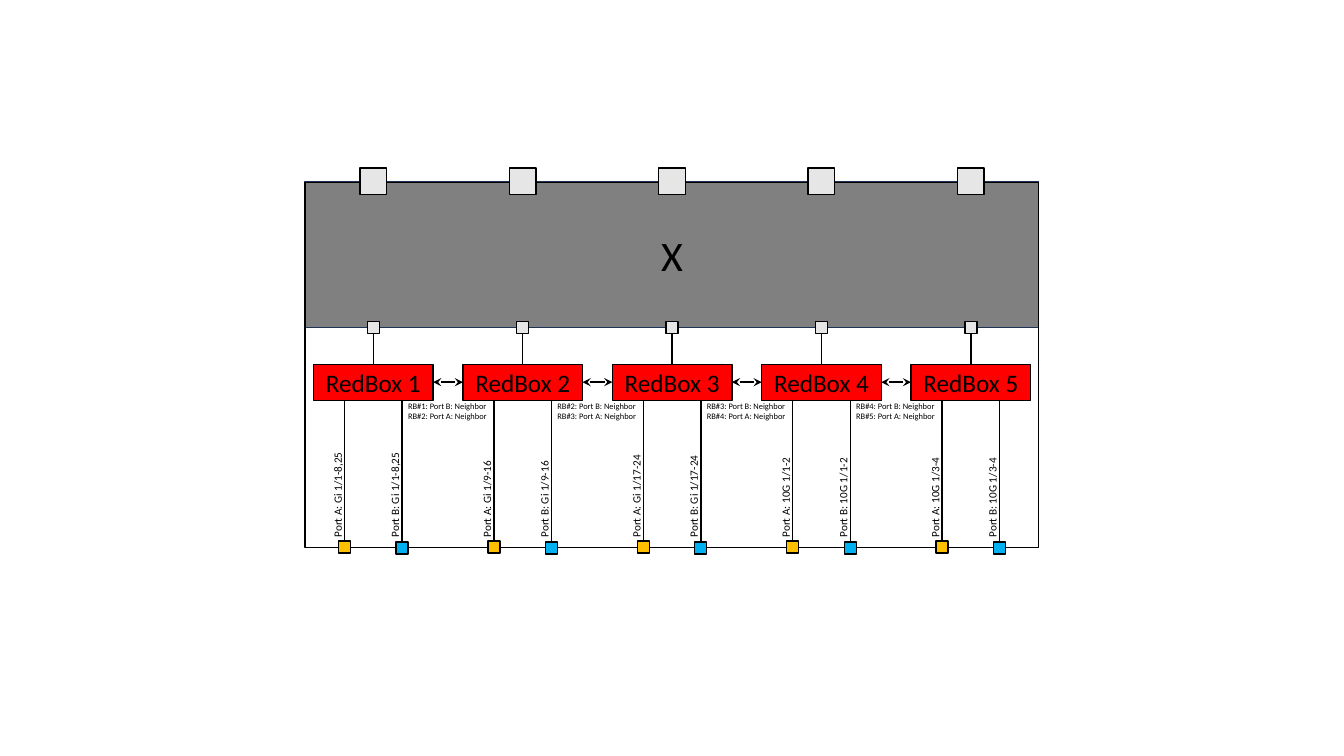
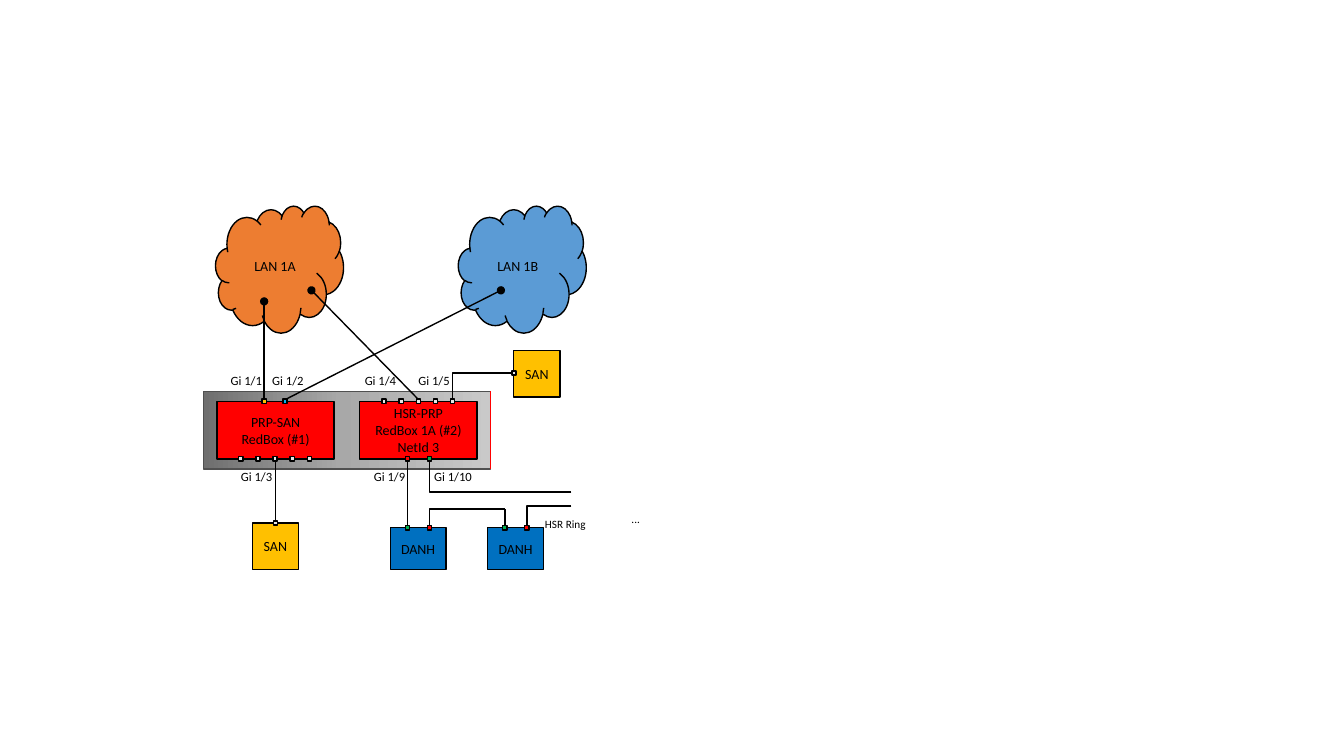
from copy import deepcopy

from lxml.etree import SubElement
from pptx import Presentation
from pptx.dml.color import RGBColor
from pptx.enum.shapes import MSO_CONNECTOR as Conn, MSO_SHAPE as Kind
from pptx.enum.text import MSO_ANCHOR as Anchor, PP_ALIGN as Align
from pptx.oxml.ns import qn
from pptx.util import Pt

BLACK = RGBColor(0x00, 0x00, 0x00)
GRAY = RGBColor(0x80, 0x80, 0x80)
PALE = RGBColor(0xE7, 0xE6, 0xE6)
NAVY = RGBColor(0x1E, 0x32, 0x56)
EDGE = RGBColor(0x50, 0x50, 0x50)
RED = RGBColor(0xFF, 0x00, 0x00)
GOLD = RGBColor(0xFF, 0xC0, 0x00)
SKY = RGBColor(0x00, 0xB0, 0xF0)
GREEN = RGBColor(0x00, 0xB0, 0x50)
BLUE = RGBColor(0x00, 0x70, 0xC0)
RUST = RGBColor(0xED, 0x7D, 0x31)
AZURE = RGBColor(0x5B, 0x9B, 0xD5)
SHADES = [(0, RGBColor(0x6F, 0x6F, 0x6F)), (0.48, RGBColor(0xA8, 0xA8, 0xA8)),
          (1, RGBColor(0xC9, 0xC9, 0xC9))]

FONT = {"name": "Calibri"}
INNER = {"margin_left": 0, "margin_right": 0, "margin_top": 0,
         "margin_bottom": 0, "vertical_anchor": Anchor.MIDDLE, "word_wrap": True}
LABEL = {"vertical_anchor": Anchor.TOP, "word_wrap": True}


def box(page, kind, x, y, w, h, fill=None, text="", size=10, edge=BLACK, wrap=True):
    """Add a shape with centred text, or a plain text box if kind is None."""
    area = [Pt(v) for v in (x, y, w, h)]
    if kind is None:
        item, form = page.shapes.add_textbox(*area), LABEL | {"word_wrap": wrap}
    else:
        item, form = page.shapes.add_shape(kind, *area), INNER
        item.shadow.inherit = False
        item.line.color.rgb = edge
        item.line.width = Pt(1)
        if fill is None:
            item.fill.background()
        else:
            item.fill.solid()
            item.fill.fore_color.rgb = fill
    frame = item.text_frame
    for key, val in form.items():
        setattr(frame, key, val)
    if text:
        frame.text = text
        for para in frame.paragraphs:
            para.alignment = Align.LEFT if kind is None else Align.CENTER
            for key, val in (FONT | {"size": Pt(size)}).items():
                setattr(para.font, key, val)
            para.font.color.rgb = BLACK
    return item


def wire(page, x1, y1, x2, y2, head=None, tail=None, bent=False, color=BLACK):
    """Add a line; a bent one runs level first, then upright."""
    kind = Conn.ELBOW if bent else Conn.STRAIGHT
    item = page.shapes.add_connector(kind, Pt(x1), Pt(y1), Pt(x2), Pt(y2))
    item.line.color.rgb = color
    item.line.width = Pt(1)
    props = item._element.spPr
    if bent:
        props.find(qn("a:prstGeom")).set("prst", "bentConnector2")
    for tag, end in (("a:headEnd", head), ("a:tailEnd", tail)):
        if end:
            SubElement(props.find(qn("a:ln")), qn(tag), type=end)
    SubElement(props, qn("a:effectLst"))


deck = Presentation()
deck.slide_width, deck.slide_height = Pt(960), Pt(540)
blank = deck.slide_layouts[6]

# Switch with five RedBoxes
page = deck.slides.add_slide(blank)
LEFT, WIDE, STEP, COUNT = 218, 524, 106.7, 5
PORTS = ["Gi 1/1-8,25", "Gi 1/9-16", "Gi 1/17-24", "10G 1/1-2", "10G 1/3-4"]
box(page, Kind.RECTANGLE, LEFT, 129.6, WIDE, 104.4, GRAY, "X", 30, NAVY)
box(page, Kind.RECTANGLE, LEFT, 130.3, WIDE, 260.6)

for i, port in enumerate(PORTS):
    mid = 266.7 + i * STEP
    wire(page, mid, 234, mid, 260.5)
    box(page, Kind.RECTANGLE, mid - 9.5, 120, 19, 19, PALE)
    box(page, Kind.RECTANGLE, mid - 4.3, 229.7, 8.6, 8.6, PALE)
    box(page, Kind.RECTANGLE, mid - 42.7, 260.5, 85.4, 25.5, RED, f"RedBox {i + 1}", 18)
    for side, x, y, color in (("A", mid - 20.5, 386.5, GOLD), ("B", mid + 20.5, 387.2, SKY)):
        wire(page, x, 286, x, y)
        box(page, Kind.RECTANGLE, x - 4.3, y, 8.6, 8.6, color)
        note = box(page, None, x - 52.5, 334.9, 95, 17.2, text=f"Port {side}: {port}", size=8)
        note.rotation = 270
    if i < COUNT - 1:
        wire(page, mid + 42.7, 273, mid + STEP - 42.7, 273, "stealth", "stealth")
        pair = f"RB#{i + 1}: Port B: Neighbor\nRB#{i + 2}: Port A: Neighbor"
        box(page, None, mid + 17.7, 283, 75, 21.6, text=pair, size=6)

# RedBoxes between two LANs and an HSR ring
page = deck.slides.add_slide(blank)
case = box(page, Kind.RECTANGLE, 145.5, 279.5, 205, 55.5, GRAY, edge=EDGE)
case.fill.gradient()
case.fill.gradient_angle = 0
stops = case._element.spPr.find(qn("a:gradFill")).find(qn("a:gsLst"))
stops.append(deepcopy(stops[-1]))
for stop, (place, color) in zip(case.fill.gradient_stops, SHADES):
    stop.position = place
    stop.color.rgb = color
wire(page, 350.5, 279.5, 350.5, 335, color=RED)

for kind, x, y, w, h, fill, text in [
    (Kind.RECTANGLE, 155, 286.8, 83.7, 41, RED, "PRP-SAN\nRedBox (#1)"),
    (Kind.RECTANGLE, 257, 286.8, 83.7, 41, RED, "HSR-PRP\nRedBox 1A (#2)\nNetId 3"),
    (Kind.CLOUD, 154, 147, 91.4, 90.7, RUST, "LAN 1A"),
    (Kind.CLOUD, 327.4, 147, 91.4, 90.7, AZURE, "LAN 1B"),
    (Kind.RECTANGLE, 180.2, 373.7, 33, 33, GOLD, "SAN"),
    (Kind.RECTANGLE, 367, 250.5, 33, 33, GOLD, "SAN"),
    (Kind.RECTANGLE, 278.8, 377, 39.8, 29.7, BLUE, "DANH"),
    (Kind.RECTANGLE, 348.4, 377, 39.8, 29.7, BLUE, "DANH"),
]:
    box(page, kind, x, y, w, h, fill, text)

for x1, y1, x2, y2 in [(299, 285.5, 222.5, 207.4), (188.7, 285.5, 188.7, 215.3),
                       (203.6, 285.5, 357.8, 207.4)]:
    wire(page, x1, y1, x2, y2, tail="oval")
for x, y1, y2 in [(196.7, 372.3, 329), (291, 376, 329), (360.6, 376, 363.6)]:
    wire(page, x, y1, x, y2)
for x1, y1, x2, y2 in [(366, 266.5, 323.4, 285.2), (408.2, 361.4, 376.5, 376),
                       (360.6, 363.6, 306.7, 376), (408.2, 351.4, 306.7, 329)]:
    wire(page, x1, y1, x2, y2, bent=True)

TOP, LOW, RING = 286.6, 327.7, 377
pins = [(172 + 12.25 * i, LOW, PALE) for i in range(5)]
pins += [(274.4 + 12.25 * i, TOP, PALE) for i in range(5)]
pins += [(188.7, TOP, GOLD), (203.6, TOP, SKY), (196.7, 373.7, PALE), (367.2, 266.5, PALE),
         (291, LOW, RED), (306.7, LOW, GREEN)]
for x in (291, 360.6):
    pins += [(x, RING, GREEN), (x + 15.7, RING, RED)]
for x, y, color in pins:
    box(page, Kind.RECTANGLE, x - 1.5, y - 1.5, 3, 3, color)

for num, x, y in [(1, 157.7, 263), (2, 187.4, 263), (4, 253.5, 263), (5, 291.8, 263),
                  (3, 165, 331.5), (9, 260, 331.5), (10, 303, 331.5)]:
    box(page, None, x, y, 41.8 if num == 10 else 36.9, 18, text=f"Gi 1/{num}", size=9, wrap=False)
for text, x, y, w in [("HSR Ring", 382.2, 366, 73.5), ("...", 444, 362.5, 44)]:
    box(page, None, x, y, w, 17.2, text=text, size=8)

deck.save("out.pptx")
